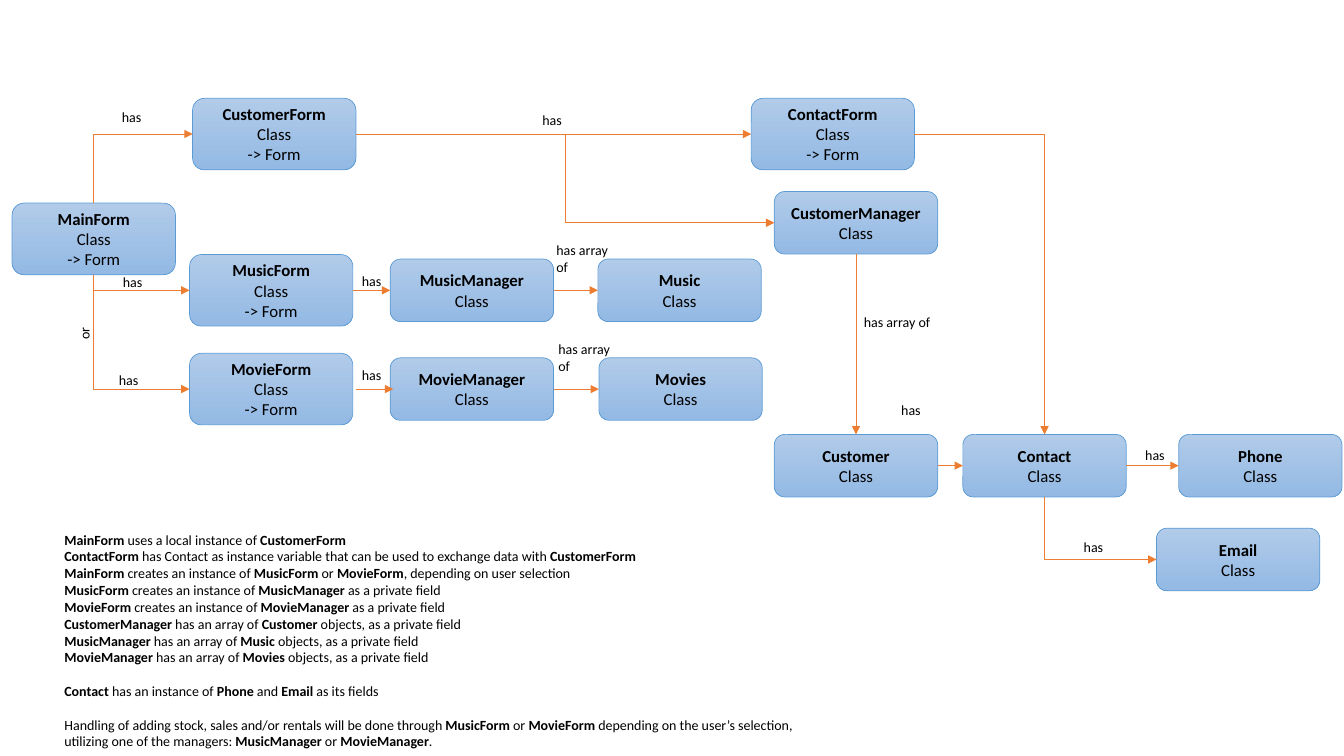
from dataclasses import dataclass

from lxml.etree import SubElement
from pptx import Presentation
from pptx.dml.color import RGBColor as Rgb
from pptx.enum.shapes import MSO_CONNECTOR as Link, MSO_SHAPE as Preset
from pptx.enum.text import MSO_ANCHOR as Anchor, MSO_AUTO_SIZE as Fit, PP_ALIGN as Align
from pptx.oxml.ns import qn
from pptx.util import Inches, Pt

TOP, LEFT, BOTTOM, RIGHT = range(4)


@dataclass(frozen=True)
class Theme:
    font: str = "Calibri"
    ink: str = "000000"
    box_top: str = "B1CBE9"
    box_bottom: str = "93B9E4"
    outline: str = "5B9BD5"
    arrow: str = "ED7D31"
    class_size: int = 12
    label_size: int = 10
    line_width: float = 0.5


def write(paragraph, text, theme, size, align=Align.LEFT, before=0):
    paragraph.alignment = align
    paragraph.space_before = Pt(before)
    for line_number, line in enumerate(text.split("\n")):
        if line_number:
            paragraph.add_line_break()
        for part, words in enumerate(line.split("**")):
            if words:
                run = paragraph.add_run()
                run.text = words
                run.font.name = theme.font
                run.font.size = Pt(size)
                run.font.bold = part % 2 == 1
                run.font.color.rgb = Rgb.from_string(theme.ink)


class ClassDiagram:
    CELL = Inches(0.1)
    BOX_COLUMNS = 16.2
    FORM_ROWS, CLASS_ROWS = 7.1, 6.2

    def __init__(self, slide, theme):
        self.shapes = slide.shapes
        self.theme = theme

    def cells(self, *counts):
        return [round(count * self.CELL) for count in counts]

    def class_box(self, name, column, middle_row):
        is_form = name.endswith("Form")
        rows = self.FORM_ROWS if is_form else self.CLASS_ROWS
        box = self.shapes.add_shape(
            Preset.ROUNDED_RECTANGLE,
            *self.cells(column, middle_row - rows / 2, self.BOX_COLUMNS, rows))
        box.shadow.inherit = False
        box.fill.gradient()
        box.fill.gradient_angle = 270
        for stop, colour in zip(box.fill.gradient_stops, (self.theme.box_top, self.theme.box_bottom)):
            stop.color.rgb = Rgb.from_string(colour)
        box.line.color.rgb = Rgb.from_string(self.theme.outline)
        box.line.width = Pt(self.theme.line_width)
        box.text_frame.vertical_anchor = Anchor.MIDDLE
        role = "Class\n-> Form" if is_form else "Class"
        write(box.text_frame.paragraphs[0], f"**{name}**\n{role}", self.theme,
              self.theme.class_size, align=Align.CENTER)
        return box

    def text_box(self, paragraphs, column, row, columns, rows, wrap=False, turn=0):
        box = self.shapes.add_textbox(*self.cells(column, row, columns, rows))
        box.rotation = turn
        frame = box.text_frame
        frame.word_wrap = wrap
        frame.auto_size = Fit.SHAPE_TO_FIT_TEXT
        for number, (text, before) in enumerate(paragraphs):
            paragraph = frame.add_paragraph() if number else frame.paragraphs[0]
            write(paragraph, text, self.theme, self.theme.label_size, before=before)

    def label(self, text, column, row, columns=4.1, rows=2.7, **layout):
        self.text_box([(text, 0)], column, row, columns, rows, **layout)

    def style_arrow(self, arrow):
        arrow.line.color.rgb = Rgb.from_string(self.theme.arrow)
        arrow.line.width = Pt(self.theme.line_width)
        SubElement(arrow.line._get_or_add_ln(), qn("a:tailEnd"), type="triangle")
        SubElement(arrow._element.spPr, qn("a:effectLst"))

    def join(self, source, target, start=RIGHT, end=LEFT, kind=Link.STRAIGHT):
        arrow = self.shapes.add_connector(kind, 0, 0, 0, 0)
        arrow.begin_connect(source, start)
        arrow.end_connect(target, end)
        self.style_arrow(arrow)

    def free_arrow(self, column, row, columns):
        arrow = self.shapes.add_connector(
            Link.STRAIGHT, *self.cells(column, row, column + columns, row))
        self.style_arrow(arrow)

    def corner(self, source, target, start):
        middle = source.left + source.width // 2
        if start == RIGHT:
            x1, y1 = source.left + source.width, source.top + source.height // 2
            x2, y2 = target.left + target.width // 2, target.top
            left, top, width, height = x1, y1, x2 - x1, y2 - y1
            turn = {}
        else:
            x1, y1 = middle, source.top + (source.height if start == BOTTOM else 0)
            x2, y2 = target.left, target.top + target.height // 2
            width, height = abs(y2 - y1), x2 - x1
            left, top = (x1 + x2 - width) // 2, (y1 + y2 - height) // 2
            turn = ({"rot": "16200000", "flipH": "1"} if start == BOTTOM
                    else {"rot": "5400000", "flipH": "1", "flipV": "1"})
        arrow = self.shapes.add_connector(Link.ELBOW, left, top, left + width, top + height)
        properties = arrow._element.spPr
        properties.find(qn("a:prstGeom")).set("prst", "bentConnector2")
        for key, value in turn.items():
            properties.find(qn("a:xfrm")).set(key, value)
        self.style_arrow(arrow)


CLASSES = {
    "MainForm": (1.2, 23.7),
    "CustomerForm": (19.1, 13.3), "ContactForm": (74.5, 13.3),
    "MusicForm": (18.8, 28.8), "MusicManager": (38.7, 28.8), "Music": (59.3, 28.8),
    "MovieForm": (18.8, 38.6), "MovieManager": (38.7, 38.6), "Movies": (59.4, 38.6),
    "CustomerManager": (76.8, 22.1),
    "Customer": (76.8, 46.2), "Contact": (95.5, 46.2), "Phone": (116.9, 46.2),
    "Email": (114.7, 55.5),
}
STRAIGHT = [
    ("CustomerForm", "ContactForm"), ("MusicForm", "MusicManager"),
    ("MusicManager", "Music"), ("MovieManager", "Movies"),
    ("Customer", "Contact"), ("Contact", "Phone"),
]
CORNERS = [
    ("MainForm", "CustomerForm", TOP), ("MainForm", "MusicForm", BOTTOM),
    ("MainForm", "MovieForm", BOTTOM), ("ContactForm", "Contact", RIGHT),
    ("Contact", "Email", BOTTOM),
]
HAS_PLACES = [
    (11.1, 10.3), (10.8, 36.4), (11.2, 26.6), (34.9, 26.5), (34.9, 35.9),
    (112.6, 43.8), (106.5, 52.9), (88.4, 39.3), (52.8, 10.6),
]
NOTES = [
    ("**MainForm** uses a local instance of **CustomerForm**", 0),
    ("**ContactForm** has Contact as instance variable that can be used to exchange data with **CustomerForm**", 0),
    ("**MainForm** creates an instance of **MusicForm** or **MovieForm**, depending on user selection", 0),
    ("**MusicForm** creates an instance of **MusicManager** as a private field", 0),
    ("**MovieForm** creates an instance of **MovieManager** as a private field", 0),
    ("**CustomerManager** has an array of **Customer** objects, as a private field", 0),
    ("**MusicManager** has an array of **Music** objects, as a private field", 0),
    ("**MovieManager** has an array of **Movies** objects, as a private field", 0),
    ("**Contact** has an instance of **Phone** and **Email** as its fields", 12),
    ("Handling of adding stock, sales and/or rentals will be done through **MusicForm** or **MovieForm **"
     "depending on the user’s selection, utilizing one of the managers: **MusicManager** or **MovieManager**.", 12),
]


def main():
    deck = Presentation()
    deck.slide_width, deck.slide_height = Inches(13.33), Inches(7.5)
    diagram = ClassDiagram(deck.slides.add_slide(deck.slide_layouts[6]), Theme())

    boxes = {name: diagram.class_box(name, *place) for name, place in CLASSES.items()}
    for source, target in STRAIGHT:
        diagram.join(boxes[source], boxes[target])
    diagram.join(boxes["CustomerManager"], boxes["Customer"], BOTTOM, TOP)
    diagram.join(boxes["CustomerForm"], boxes["CustomerManager"], kind=Link.ELBOW)
    diagram.free_arrow(35.3, 38.6, 3.7)
    for source, target, start in CORNERS:
        diagram.corner(boxes[source], boxes[target], start)

    for place in HAS_PLACES:
        diagram.label("has", *place)
    for place in ((54.2, 23.5), (54.4, 33.3)):
        diagram.label("has array of", *place, columns=7.6, rows=4.4, wrap=True)
    diagram.label("has array of", 84.7, 30.6, columns=9.3)
    diagram.label("or", 6.3, 31.3, turn=270)
    diagram.text_box(NOTES, 5.4, 52.2, 76.8, 22.9, wrap=True)

    deck.save("out.pptx")


if __name__ == "__main__":
    main()
